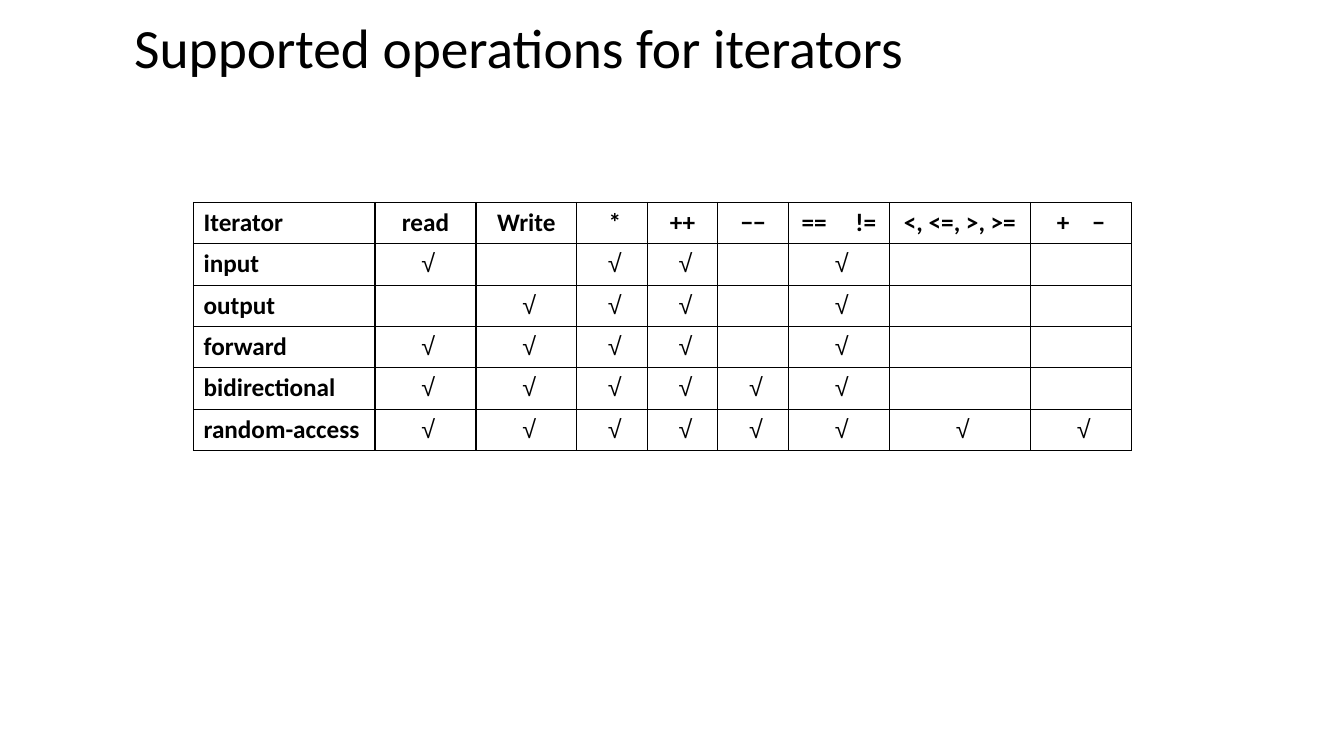
from lxml.etree import SubElement
from pptx import Presentation
from pptx.dml.color import RGBColor
from pptx.enum.text import MSO_ANCHOR, MSO_AUTO_SIZE, PP_ALIGN
from pptx.oxml.ns import qn
from pptx.util import Inches, Pt

COLUMN_WIDTHS = [1.8, 1, 1, 0.7, 0.7, 0.7, 1, 1.4, 1]
ROW_HEIGHT = 0.41
HEADINGS = ["Iterator", "read", "Write", " *", "++", "−−", "== !=", "<, <=, >, >=", "+ −"]
HEADING_GAPS = {"== !=": 16.3, "+ −": 12.2}
CHECK = "√"
SUPPORT = {
    "input": ["read", " *", "++", "== !="],
    "output": ["Write", " *", "++", "== !="],
    "forward": ["read", "Write", " *", "++", "== !="],
    "bidirectional": ["read", "Write", " *", "++", "−−", "== !="],
    "random-access": HEADINGS[1:],
}
BLACK, WHITE = "000000", "FFFFFF"


def color(value):
    return RGBColor.from_string(value)


def apply(target, values):
    for name, value in values.items():
        setattr(target, name, value)


def add_run(paragraph, text, size=18, name="Calibri", bold=False):
    run = paragraph.add_run()
    run.text = text
    apply(run.font, {"size": Pt(size), "name": name, "bold": bold})
    run.font.color.rgb = color(BLACK)
    return run


def add_title(slide, text):
    title = slide.shapes.title
    apply(title, {"left": Inches(1.23), "top": Inches(0.4),
                  "width": Inches(11.19), "height": Inches(0.81)})
    apply(title.text_frame, {"auto_size": MSO_AUTO_SIZE.NONE, "word_wrap": True,
                             "vertical_anchor": MSO_ANCHOR.MIDDLE,
                             "margin_bottom": Inches(0.65)})
    paragraph = title.text_frame.paragraphs[0]
    apply(paragraph, {"alignment": PP_ALIGN.LEFT, "line_spacing": 0.9})
    add_run(paragraph, text, size=39.6)


def format_cell(cell):
    properties = cell._tc.get_or_add_tcPr()
    for side in ("lnL", "lnR", "lnT", "lnB"):
        line = SubElement(properties, qn(f"a:{side}"), w=str(Pt(1)))
        fill = SubElement(line, qn("a:solidFill"))
        SubElement(fill, qn("a:srgbClr"), val=BLACK)
    cell.fill.solid()
    cell.fill.fore_color.rgb = color(WHITE)


def write_heading(paragraph, text):
    if text not in HEADING_GAPS:
        add_run(paragraph, text, bold=True)
        return
    first, second = text.split()
    add_run(paragraph, first, bold=True)
    space = add_run(paragraph, " ", bold=True)
    space._r.get_or_add_rPr().set("spc", str(round(HEADING_GAPS[text] * 100)))
    add_run(paragraph, second, bold=True)


def write_check(paragraph):
    add_run(paragraph, " ")
    add_run(paragraph, CHECK, name="Arial")


def add_support_table(slide):
    row_count = len(SUPPORT) + 1
    table = slide.shapes.add_table(
        row_count, len(HEADINGS), Inches(1.92), Inches(2.01),
        Inches(sum(COLUMN_WIDTHS)), Inches(ROW_HEIGHT * row_count)).table
    apply(table, {"first_row": False, "horz_banding": False})
    for column, width in zip(table.columns, COLUMN_WIDTHS):
        column.width = Inches(width)
    for row in table.rows:
        row.height = Inches(ROW_HEIGHT)
    for row_index, iterator in enumerate([HEADINGS[0], *SUPPORT]):
        for column_index, heading in enumerate(HEADINGS):
            cell = table.cell(row_index, column_index)
            format_cell(cell)
            paragraph = cell.text_frame.paragraphs[0]
            paragraph.alignment = PP_ALIGN.CENTER if column_index else PP_ALIGN.LEFT
            if column_index == 0:
                write_heading(paragraph, iterator)
            elif row_index == 0:
                write_heading(paragraph, heading)
            elif heading in SUPPORT[iterator]:
                write_check(paragraph)


def main():
    presentation = Presentation()
    apply(presentation, {"slide_width": Inches(13.33), "slide_height": Inches(7.5)})
    slide = presentation.slides.add_slide(presentation.slide_layouts[5])
    add_title(slide, "Supported operations for iterators")
    add_support_table(slide)
    presentation.save("out.pptx")


if __name__ == "__main__":
    main()
